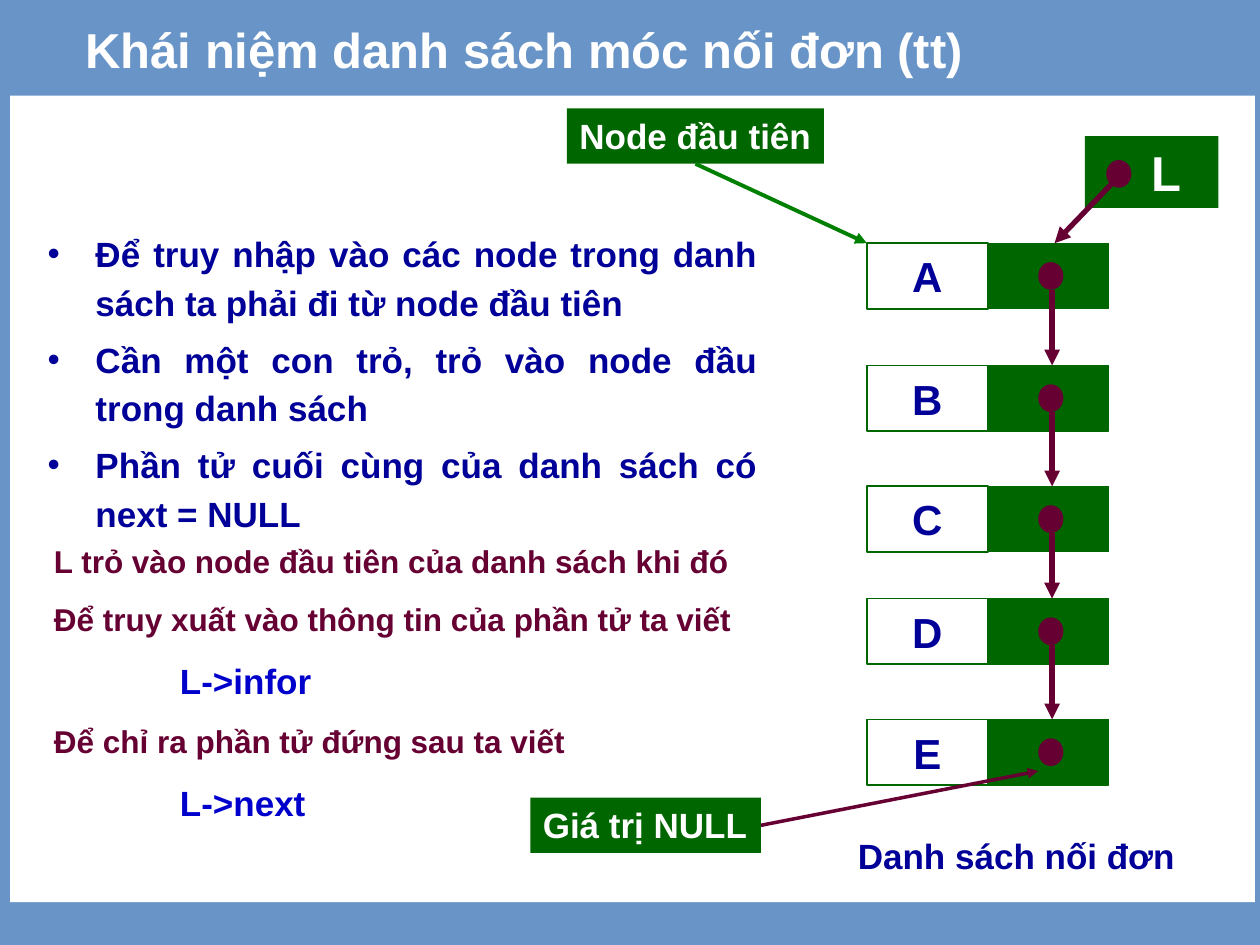
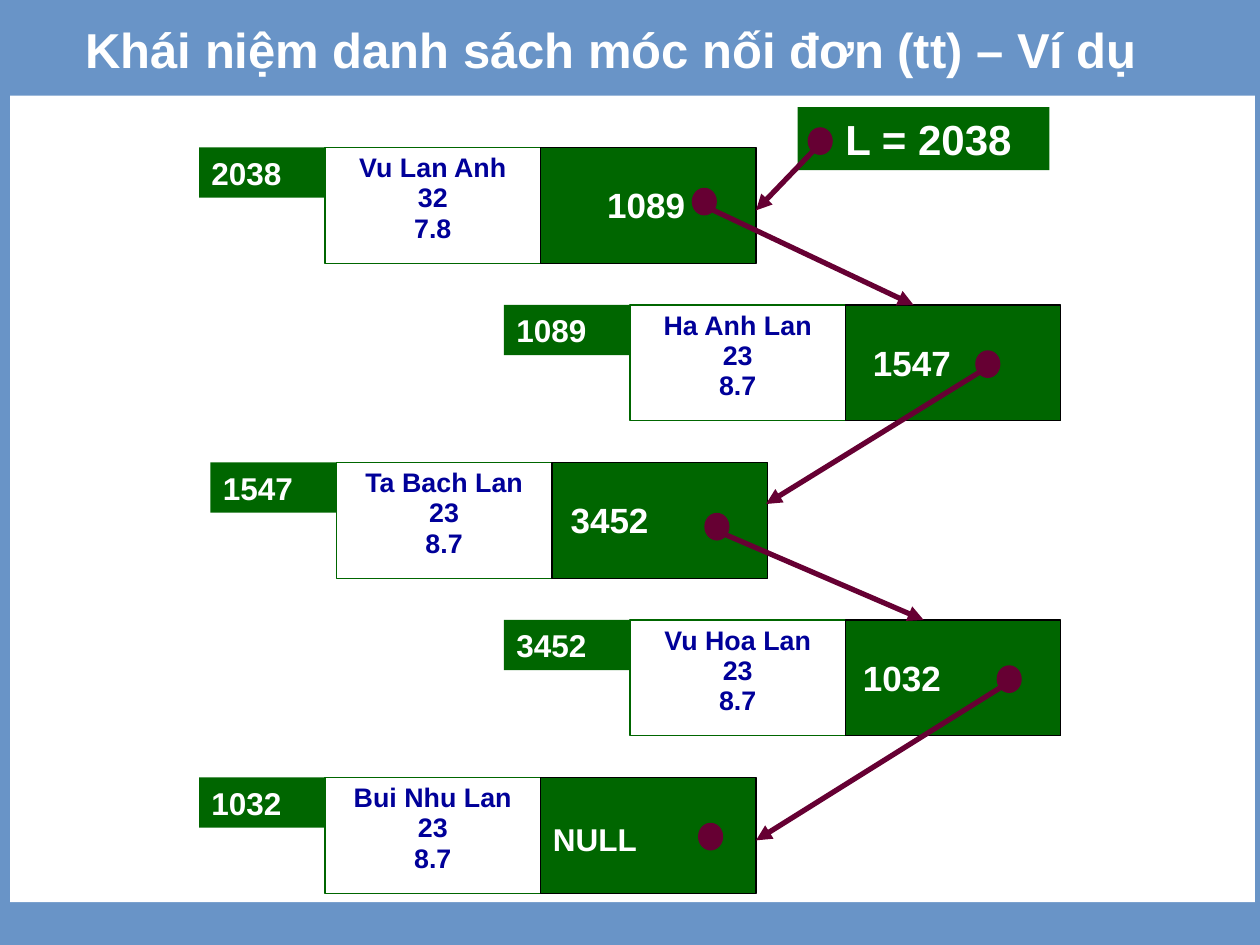
from lxml import etree
from pptx import Presentation
from pptx.dml.color import RGBColor
from pptx.enum import shapes, text
from pptx.oxml import ns
from pptx.util import Inches, Pt

FONT = "Arial"
COLORS = {
    "band": "6994C7", "panel": "FFFFFF", "white": "FFFFFF", "black": "000000",
    "green": "006600", "arrow_green": "008000", "navy": "000099",
    "blue": "0000CC", "maroon": "660033",
}
RECT, OVAL = shapes.MSO_SHAPE.RECTANGLE, shapes.MSO_SHAPE.OVAL
LEFT, CENTER, JUSTIFY = (text.PP_ALIGN.LEFT, text.PP_ALIGN.CENTER,
                         text.PP_ALIGN.JUSTIFY)
MIDDLE, TOP = text.MSO_ANCHOR.MIDDLE, text.MSO_ANCHOR.TOP
BOTTOM_SITE, RIGHT_SITE = 2, 3
DOT_W, DOT_H = 0.2, 0.22


def rgb(name):
    return RGBColor.from_string(COLORS[name])


def add_xml(parent, tag, **attrs):
    el = etree.SubElement(parent, ns.qn(tag))
    for key, value in attrs.items():
        el.set(key, value)
    return el


# ---------- Shared building blocks ----------
def write(sp, lines, size, color, align=LEFT, anchor=TOP, margins=None, **spacing):
    """Fill a shape with paragraphs; a line is text or (text, overrides)."""
    tf = sp.text_frame
    frame = {"word_wrap": True, "vertical_anchor": anchor,
             "margin_left": Inches(0.1), "margin_right": Inches(0.1),
             "margin_top": Inches(0.05), "margin_bottom": Inches(0.05)}
    frame.update({k: Inches(v) for k, v in (margins or {}).items()})
    for key, value in frame.items():
        setattr(tf, key, value)
    for i, line in enumerate(lines):
        words, fmt = line if isinstance(line, tuple) else (line, {})
        p = tf.paragraphs[0] if i == 0 else tf.add_paragraph()
        for key, value in {"alignment": align, **spacing}.items():
            setattr(p, key, value)
        if "indent" in fmt:
            p._p.get_or_add_pPr().set("marL", str(Inches(fmt["indent"])))
        r = p.add_run()
        r.text = words
        font = {"name": FONT, "size": Pt(fmt.get("size", size)), "bold": True}
        for key, value in font.items():
            setattr(r.font, key, value)
        r.font.color.rgb = rgb(fmt.get("color", color))
    return sp


def add_block(slide, kind, box, fill=None, line=None, width=0.75):
    sp = slide.shapes.add_shape(kind, *map(Inches, box))
    sp.shadow.inherit = False
    if fill:
        sp.fill.solid()
        sp.fill.fore_color.rgb = rgb(fill)
    else:
        sp.fill.background()
    if line:
        sp.line.color.rgb = rgb(line)
        sp.line.width = Pt(width)
    else:
        sp.line.fill.background()
    return sp


def add_text(slide, box, lines, size, color, **options):
    sp = slide.shapes.add_textbox(*map(Inches, box))
    return write(sp, lines, size, color, **options)


def add_label(slide, box, words, size, indent=0.1):
    sp = add_block(slide, RECT, box, "green")
    return write(sp, [words], size, "white",
                 margins={"margin_left": indent, "margin_right": 0})


def add_arrow(slide, start, end, color="maroon", width=3):
    line = slide.shapes.add_connector(shapes.MSO_CONNECTOR.STRAIGHT,
                                      *map(Inches, (*start, *end)))
    line.line.color.rgb = rgb(color)
    line.line.width = Pt(width)
    add_xml(line.line._get_or_add_ln(), "a:tailEnd", type="triangle")
    add_xml(line._element.spPr, "a:effectLst")
    return line


def add_dot(slide, x, y):
    add_block(slide, OVAL, (x, y, DOT_W, DOT_H), "maroon")


def add_pointer(slide, x, y, end):
    """A dot with an arrow leaving from its middle."""
    add_dot(slide, x, y)
    add_arrow(slide, (x + 0.09, y + 0.14), end)


def start_slide(prs, title):
    slide = prs.slides.add_slide(prs.slide_layouts[6])
    fill = slide.background.fill
    fill.solid()
    fill.fore_color.rgb = rgb("band")
    add_block(slide, RECT, (0.08, 0.76, 9.88, 6.4), "panel")
    add_text(slide, (0.58, 0.01, 9.19, 0.75), [title], 28, "white", anchor=MIDDLE)
    return slide


# ---------- Slide 1: concept ----------
def add_bullets(slide, box, lines):
    sp = add_text(slide, box, lines, 20, "navy", align=JUSTIFY,
                  line_spacing=1.15, space_before=Pt(5))
    for p in sp.text_frame.paragraphs:
        pPr = p._p.get_or_add_pPr()
        pPr.set("marL", str(Inches(0.38)))
        pPr.set("indent", str(Inches(-0.38)))
        add_xml(add_xml(pPr, "a:buClr"), "a:srgbClr", val=COLORS["navy"])
        add_xml(pPr, "a:buFont", typeface=FONT)
        add_xml(pPr, "a:buChar", char="•")


def add_node_column(slide, x, tops, names):
    cell_w, cell_h = 0.96, 0.52
    for name, y in zip(names, tops):
        info = add_block(slide, RECT, (x, y, cell_w, cell_h), line="green", width=1)
        write(info, [name], 24, "navy", align=CENTER, anchor=MIDDLE)
        add_block(slide, RECT, (x + cell_w, y, cell_w, cell_h), "green", "green")
        add_dot(slide, x + 1.36, y + 0.15)
    for y, following in zip(tops, tops[1:]):
        add_arrow(slide, (x + 1.47, y + 0.37), (x + 1.47, following))


def build_concept(prs):
    slide = start_slide(prs, "Khái niệm danh sách móc nối đơn (tt)")
    add_bullets(slide, (0.28, 1.75, 5.83, 2.5), [
        "Để truy nhập vào các node trong danh sách ta phải đi từ node đầu tiên",
        "Cần một con trỏ, trỏ vào node đầu trong danh sách",
        "Phần tử cuối cùng của danh sách có next = NULL",
    ])
    add_node_column(slide, 6.88, [1.93, 2.9, 3.86, 4.75, 5.71], "ABCDE")

    # Callouts
    null_label = add_label(slide, (4.21, 6.33, 1.83, 0.44), "Giá trị NULL", 20)
    null_arrow = add_arrow(slide, (6.04, 6.55), (8.24, 6.12), width=2)
    null_arrow.begin_connect(null_label, RIGHT_SITE)
    first_label = add_label(slide, (4.5, 0.86, 2.04, 0.44), "Node đầu tiên", 20)
    first_arrow = add_arrow(slide, (5.52, 1.3), (6.88, 1.93), "arrow_green", 2.25)
    first_arrow.begin_connect(first_label, BOTTOM_SITE)
    add_text(slide, (6.71, 6.57, 2.96, 0.44), ["Danh sách nối đơn"], 20, "navy")

    # Access through L
    code = {"size": 20, "color": "blue", "indent": 1}
    add_text(slide, (0.33, 4.25, 5.83, 2.33), [
        "L trỏ vào node đầu tiên của danh sách khi đó",
        "Để truy xuất vào thông tin của phần tử ta viết",
        ("L->infor", code),
        "Để chỉ ra phần tử đứng sau ta viết",
        ("L->next", code),
    ], 18, "maroon", space_before=Pt(12))
    add_label(slide, (8.61, 1.08, 1.06, 0.57), "L", 28, indent=0.53)
    add_pointer(slide, 8.78, 1.27, (8.37, 1.93))


# ---------- Slide 2: example ----------
CELL_W, CELL_H = 1.71, 0.92


def add_record(slide, x, y, address, fields):
    info = add_block(slide, RECT, (x, y, CELL_W, CELL_H), line="green")
    write(info, fields, 15.3, "navy", align=CENTER, line_spacing=0.94)
    link = add_block(slide, RECT, (x + CELL_W, y, CELL_W, CELL_H), "green", "black")
    add_label(slide, (x - 1, y, 1, 0.4), address, 18)
    return link


def build_example(prs):
    slide = start_slide(prs, "Khái niệm danh sách móc nối đơn (tt) – Ví dụ")
    first_top, step = 1.17, 1.25
    # left, address, fields
    records = [
        (2.58, "2038", ["Vu Lan Anh", "32", "7.8"]),
        (5, "1089", ["Ha Anh Lan", "23", "8.7"]),
        (2.67, "1547", ["Ta Bach Lan", "23", "8.7"]),
        (5, "3452", ["Vu Hoa Lan", "23", "8.7"]),
        (2.58, "1032", ["Bui Nhu Lan", "23", "8.7"]),
    ]
    tops = [first_top + step * i for i in range(len(records))]
    for (x, address, fields), y in zip(records, tops):
        link = add_record(slide, x, y, address, fields)
    write(link, ["NULL"], 18, "white", margins={"margin_top": 0.34})
    add_dot(slide, 5.54, tops[-1] + 0.36)

    # Head pointer
    add_label(slide, (6.33, 0.85, 2, 0.5), "L = 2038", 24, indent=0.38)
    add_pointer(slide, 6.41, 1.01, (6, 1.67))

    # Next pointers: text offset, dot offset in the link cell, arrow end
    pointers = [
        (0.43, (1.2, 0.32), (7.25, 2.42)),
        (0.12, (1.03, 0.36), (6.08, 4)),
        (0.05, (1.21, 0.4), (7.33, 4.92)),
        (0.04, (1.2, 0.36), (6, 6.67)),
    ]
    for i, (text_dx, (dx, dy), end) in enumerate(pointers):
        x, y = records[i][0] + CELL_W, tops[i]
        add_pointer(slide, x + dx, y + dy, end)
        next_address = records[i + 1][1]
        add_text(slide, (x + text_dx, y + 0.24, 0.92, 0.44), [next_address],
                 20, "white")


def main():
    prs = Presentation()
    prs.slide_width, prs.slide_height = Inches(10), Inches(7.5)
    build_concept(prs)
    build_example(prs)
    prs.save("out.pptx")


if __name__ == "__main__":
    main()
